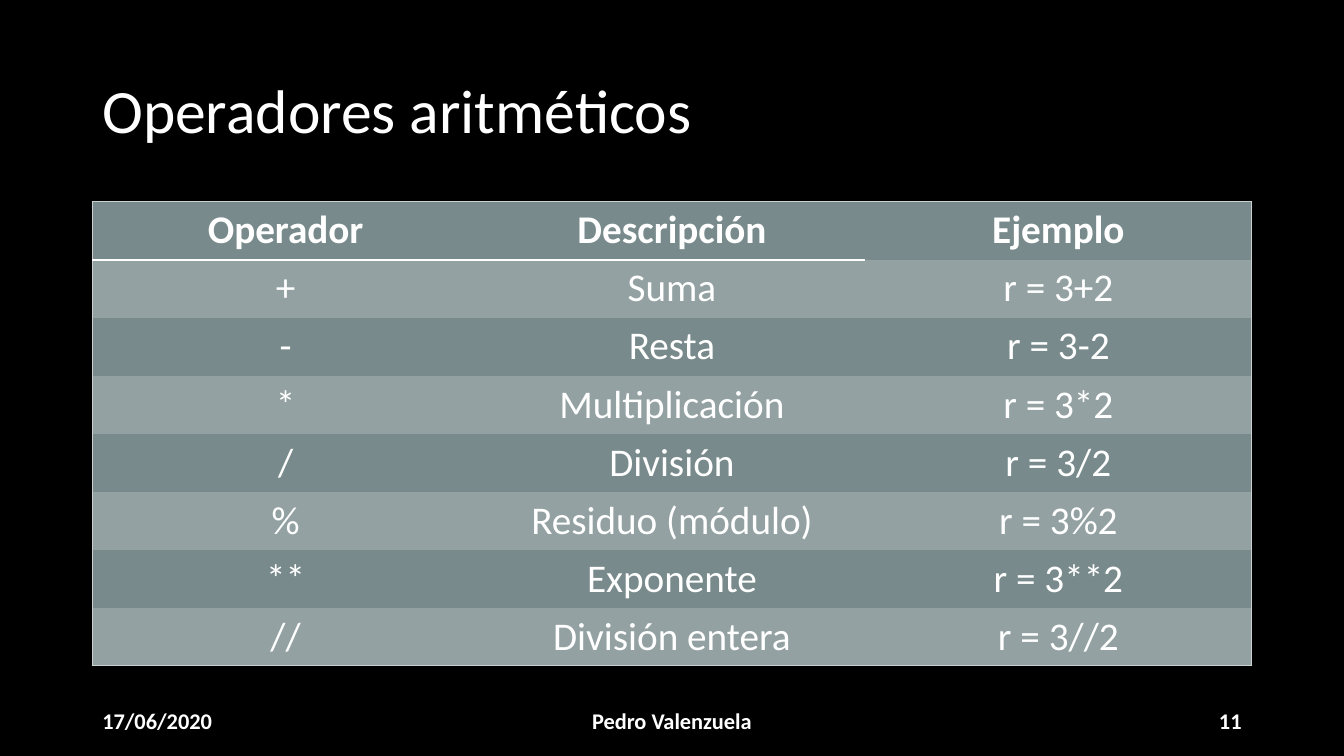
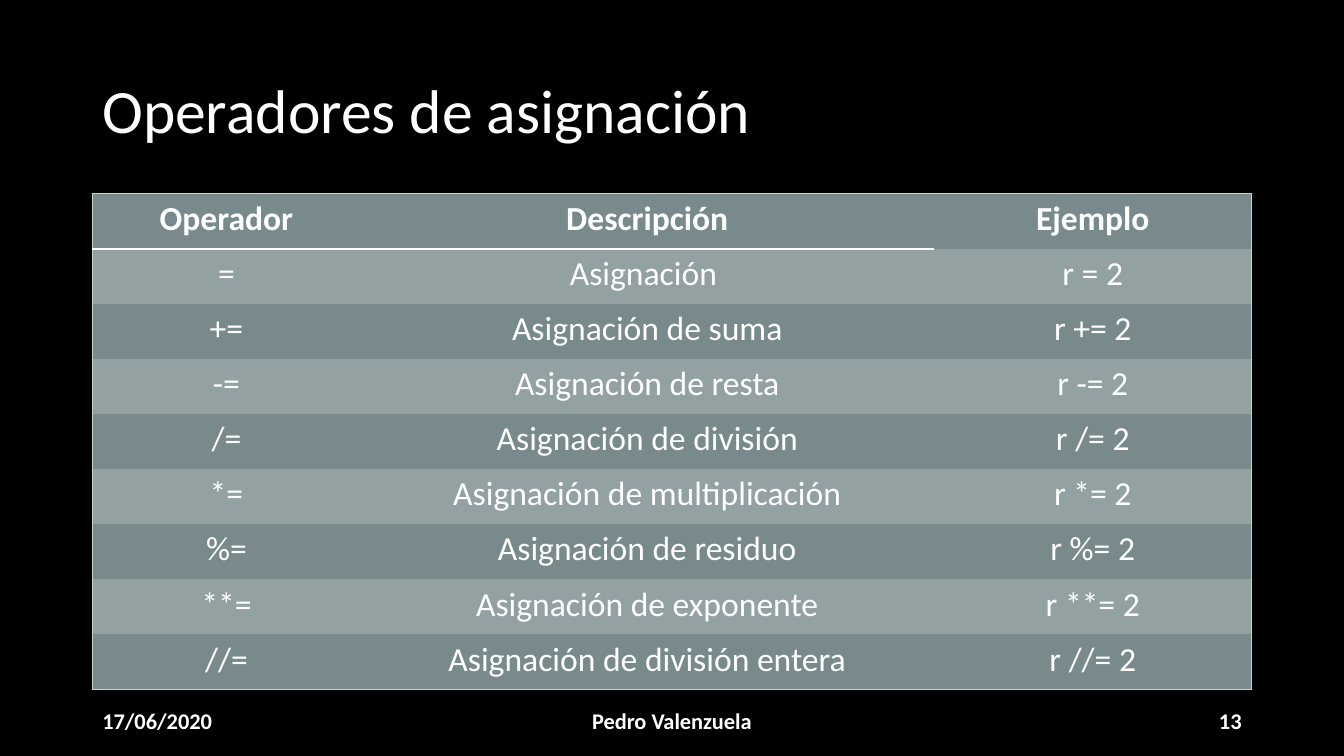
from dataclasses import dataclass

from lxml.etree import SubElement
from pptx import Presentation
from pptx.dml.color import RGBColor
from pptx.enum.shapes import MSO_SHAPE
from pptx.enum.text import MSO_ANCHOR, PP_ALIGN
from pptx.oxml.ns import qn
from pptx.slide import Slide
from pptx.table import _Cell
from pptx.text.text import TextFrame
from pptx.util import Inches, Pt

FONT = "Calibri"
BLACK, WHITE = "000000", "FFFFFF"
DARK, LIGHT, EDGE = "788A8B", "93A1A2", "CBD0D1"
WIDE, HIGH = 40 / 3, 7.5
WIDTH = 11.5
LEFT = (WIDE - WIDTH) / 2
NO_GRID = "{2D5ABB26-0587-4C30-8999-92F81FD0307C}"
HEADS = ("Operador", "Descripción", "Ejemplo")


@dataclass(frozen=True)
class Page:
    title: str
    number: int
    top: float
    height: float
    cols: tuple[float, ...]
    size: int
    rows: tuple[tuple[str, str, str], ...]


@dataclass(frozen=True)
class Foot:
    left: float
    width: float
    align: PP_ALIGN
    text: str


FEET = (
    Foot(LEFT, 3, PP_ALIGN.LEFT, "17/06/2020"),
    Foot((WIDE - 4.5) / 2, 4.5, PP_ALIGN.CENTER, "Pedro Valenzuela"),
    Foot(LEFT + WIDTH - 3, 3, PP_ALIGN.RIGHT, "{number}"),
)

PAGES = (
    Page("Operadores aritméticos", 11, 2, 4.6, (WIDTH / 3,) * 3, 28, (
        ("+", "Suma", "r = 3+2"),
        ("-", "Resta", "r = 3-2"),
        ("*", "Multiplicación", "r = 3*2"),
        ("/", "División", "r = 3/2"),
        ("%", "Residuo (módulo)", "r = 3%2"),
        ("**", "Exponente", "r = 3**2"),
        ("//", "División entera", "r = 3//2"),
    )),
    Page("Operadores de asignación", 13, 1.92, 4.92, (2.66, 5.69, 3.15), 24, (
        ("=", "Asignación ", "r = 2"),
        ("+=", "Asignación de suma", "r += 2"),
        ("-=", "Asignación de resta", "r -= 2"),
        ("/=", "Asignación de división", "r /= 2"),
        ("*=", "Asignación de multiplicación", "r *= 2"),
        ("%=", "Asignación de residuo", "r %= 2"),
        ("**=", "Asignación de exponente", "r **= 2"),
        ("//=", "Asignación de división entera", "r //= 2"),
    )),
)


def color(code: str) -> RGBColor:
    return RGBColor.from_string(code)


def write(frame: TextFrame, text: str, *, size: int, bold: bool = False,
          align: PP_ALIGN = PP_ALIGN.LEFT, space: float = 1.0) -> None:
    para = frame.paragraphs[0]
    para.alignment = align
    para.line_spacing = space
    run = para.add_run()
    run.text = text
    run.font.name = FONT
    run.font.size = Pt(size)
    run.font.bold = bold
    run.font.color.rgb = color(WHITE)


def add_band(slide: Slide, left: float, top: float, width: float,
             height: float, alpha: int) -> TextFrame:
    """Add a black band, alpha percent opaque, and return its text frame."""
    band = slide.shapes.add_shape(
        MSO_SHAPE.RECTANGLE,
        Inches(left), Inches(top), Inches(width), Inches(height))
    band.shadow.inherit = False
    band.line.fill.background()
    band.fill.solid()
    band.fill.fore_color.rgb = color(BLACK)
    tint = band._element.spPr.find(f"{qn('a:solidFill')}/{qn('a:srgbClr')}")
    SubElement(tint, qn("a:alpha"), val=str(alpha * 1000))
    frame = band.text_frame
    frame.word_wrap = True
    frame.vertical_anchor = MSO_ANCHOR.MIDDLE
    return frame


def add_edge(cell: _Cell, side: str, code: str, points: float) -> None:
    """Line one side (L, R, T or B) of a cell; call before filling it."""
    props = cell._tc.get_or_add_tcPr()
    line = SubElement(props, qn(f"a:ln{side}"), w=str(Pt(points)))
    fill = SubElement(line, qn("a:solidFill"))
    SubElement(fill, qn("a:srgbClr"), val=code)


def add_grid(slide: Slide, page: Page) -> None:
    rows = (HEADS, *page.rows)
    last, end = len(rows) - 1, len(HEADS) - 1
    table = slide.shapes.add_table(
        len(rows), len(HEADS), Inches(LEFT), Inches(page.top),
        Inches(WIDTH), Inches(page.height)).table
    table._tbl.tblPr.find(qn("a:tableStyleId")).text = NO_GRID
    for col, width in zip(table.columns, page.cols):
        col.width = Inches(width)
    for r, row in enumerate(rows):
        table.rows[r].height = Inches(page.height / len(rows))
        for c, text in enumerate(row):
            cell = table.cell(r, c)
            outer = {"L": c == 0, "R": c == end, "T": r == 0, "B": r == last}
            for side, shown in outer.items():
                if shown:
                    add_edge(cell, side, EDGE, 0.5)
            if r == 0 and c < end:
                add_edge(cell, "B", WHITE, 1.5)
            cell.fill.solid()
            cell.fill.fore_color.rgb = color(LIGHT if r % 2 else DARK)
            write(cell.text_frame, text, size=page.size, bold=r == 0,
                  align=PP_ALIGN.CENTER)


def add_page(slide: Slide, page: Page) -> None:
    back = slide.background.fill
    back.solid()
    back.fore_color.rgb = color(BLACK)
    write(add_band(slide, LEFT, 0.4, WIDTH, 1.45, 16), page.title,
          size=44, space=0.9)
    for foot in FEET:
        write(add_band(slide, foot.left, 6.95, foot.width, 0.4, 34),
              foot.text.format(number=page.number),
              size=16, bold=True, align=foot.align)
    add_grid(slide, page)


def main() -> None:
    deck = Presentation()
    deck.slide_width, deck.slide_height = Inches(WIDE), Inches(HIGH)
    blank = deck.slide_layouts[6]
    for page in PAGES:
        add_page(deck.slides.add_slide(blank), page)
    deck.save("out.pptx")


if __name__ == "__main__":
    main()
